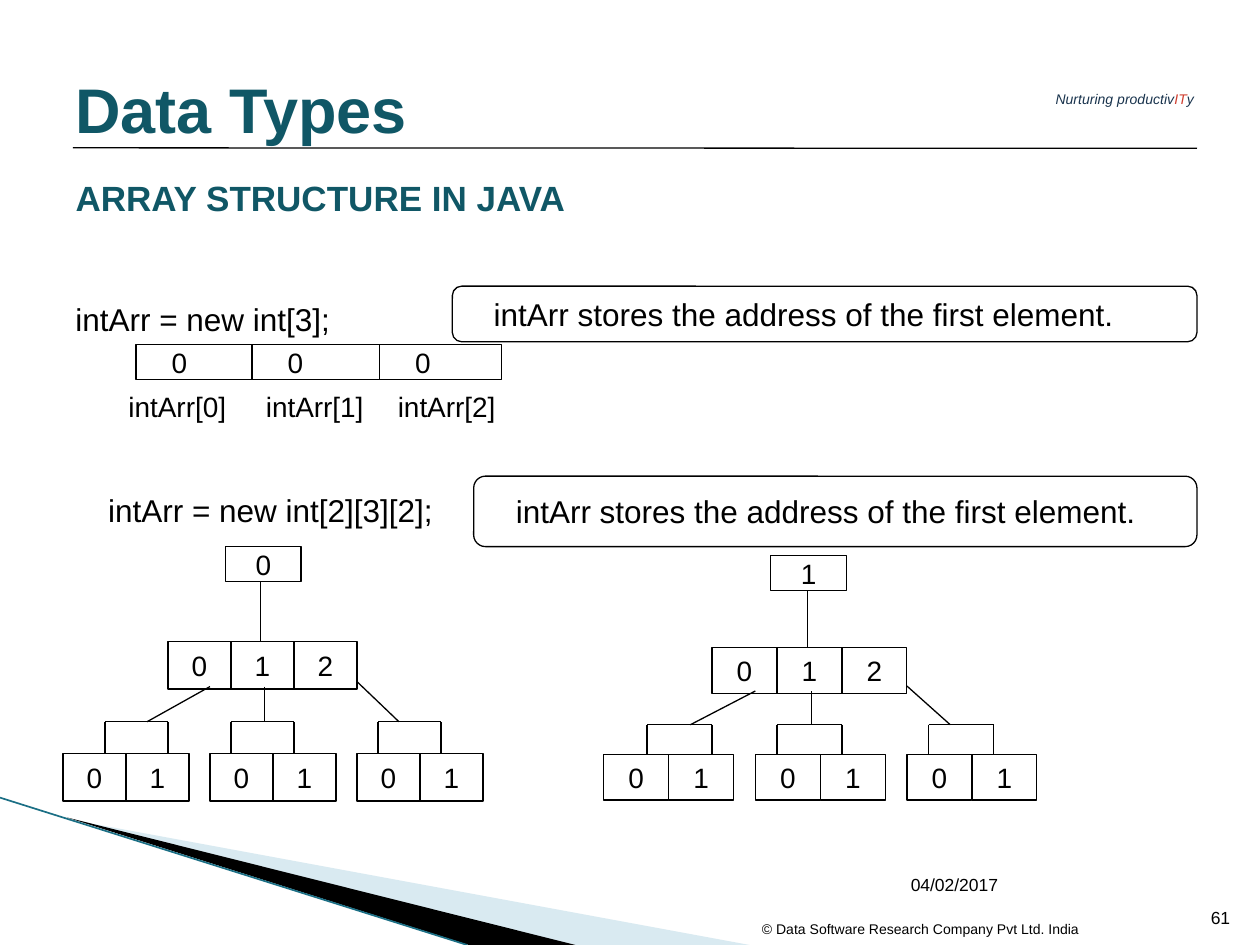
"""Build the slide on array structure in Java."""
from lxml import etree
from pptx import Presentation
from pptx import util as u
from pptx.dml.color import RGBColor
from pptx.enum import shapes, text
from pptx.oxml.ns import qn

BLACK, WHITE, TEAL, NAVY, RED = "000000", "FFFFFF", "105766", "19334D", "D03D2E"
LEFT, CENTER, RIGHT = text.PP_ALIGN.LEFT, text.PP_ALIGN.CENTER, text.PP_ALIGN.RIGHT
TOP, MIDDLE, BOTTOM = text.MSO_ANCHOR.TOP, text.MSO_ANCHOR.MIDDLE, text.MSO_ANCHOR.BOTTOM

TITLE = "ARRAY STRUCTURE IN JAVA"
TITLE_AREA = (1.27, 2.82, 22.86, 2.34)
WEDGES = [
    ("A0CBDC", 40, [(1.4, 16.52), (15.11, 19.05), (11.58, 19.05)]),
    (BLACK, 100, [(1.35, 16.48), (11.6, 19.05), (9.45, 19.05)]),
]
RULES = [
    ("1B6F85", 0.95, (0, 16.08, 9.42, 19.05)),
    (BLACK, 0.75, (1.47, 2.98, 24.13, 2.99)),
]
TEXTS = [
    ("Data Types", (1.27, 1.19, 21.79, 1.98), 36, TEAL, LEFT, MIDDLE, True),
    ("© Data Software Research Company Pvt Ltd. India",
     (15.11, 18.44, 8.76, 0.61), 8, BLACK, LEFT, TOP, False),
    ("04/02/2017", (15.04, 17.14, 5.33, 1.02), 10, BLACK, RIGHT, BOTTOM, False),
    ("61", (24.03, 17.81, 1.02, 1.02), 10, BLACK, RIGHT, BOTTOM, False),
    ("intArr = new int[3];", (1.27, 5.92, 6.5, 0.84), 18, BLACK, LEFT, TOP, False),
    ("intArr = new int[2][3][2];", (1.93, 9.78, 7.62, 1.07), 18, BLACK, LEFT, TOP, False),
]
MOTTO = [("Nurturing productiv", NAVY), ("IT", RED), ("y", NAVY)]
MOTTO_AREA = (21.03, 1.7, 3.38, 0.61)
NOTE = "intArr stores the address of the first element."
NOTE_AREAS = [(9.12, 5.77, 15.01, 1.12), (9.55, 9.6, 14.58, 1.42)]
ARRAY_EDGES = [2.74, 5.08, 7.65, 10.11]
ARRAY_LABELS = [("intArr[0]", 2.34), ("intArr[1]", 5.11), ("intArr[2]", 7.77)]
TREES = [
    dict(label="0", root=(4.55, 11.02), left=1.27, cell=(1.27, 0.96),
         middle=12.93, joint=14.55, leaf=15.19),
    dict(label="1", root=(15.54, 11.2), left=12.17, cell=(1.31, 0.92),
         middle=13.06, joint=14.61, leaf=15.21),
]
ROOT_SIZE = (1.52, 0.71)
STEM, MIDDLE_START = 9.4, 5
PAIRS = [(0, 2), (7, 8), (14, 15)]
BRANCHES = [(7, 4, 0.05), (9.6, 9.6, 0.05), (14, 16, 0.15)]


def colour(value):
    return RGBColor.from_string(value)


def lengths(values):
    return [u.Cm(value) for value in values]


def style(font, size, value, bold=False, italic=False):
    font.name, font.size = "Arial", u.Pt(size)
    font.color.rgb, font.bold, font.italic = colour(value), bold, italic


def write(box, words, size, value=BLACK, align=LEFT, anchor=TOP, bold=False):
    frame = box.text_frame
    frame.text = words
    frame.word_wrap = True
    frame.auto_size = text.MSO_AUTO_SIZE.NONE
    frame.vertical_anchor = anchor
    para = frame.paragraphs[0]
    para.alignment = align
    for span in para.runs:
        style(span.font, size, value, bold)


def add_text(page, words, area, *look):
    box = page.shapes.add_textbox(*lengths(area))
    write(box, words, *look)
    return box


def add_line(page, ends, value=BLACK, width=0.75):
    line = page.shapes.add_connector(shapes.MSO_CONNECTOR.STRAIGHT, *lengths(ends))
    line.line.color.rgb, line.line.width = colour(value), u.Pt(width)
    etree.SubElement(line._element.spPr, qn("a:effectLst"))


def add_box(page, words, area, size=16, align=CENTER, inset=0.25, rounded=False):
    kind = shapes.MSO_SHAPE.ROUNDED_RECTANGLE if rounded else shapes.MSO_SHAPE.RECTANGLE
    box = page.shapes.add_shape(kind, *lengths(area))
    box.shadow.inherit = False
    box.line.color.rgb, box.line.width = colour(BLACK), u.Pt(0.75)
    if rounded:
        box.fill.background()
    else:
        box.fill.solid()
        box.fill.fore_color.rgb = colour(WHITE)
    write(box, words, size, align=align, anchor=MIDDLE)
    box.text_frame.margin_left = u.Cm(inset)


def add_wedge(page, value, opacity, points):
    start, *others = [lengths(point) for point in points]
    builder = page.shapes.build_freeform(*start)
    builder.add_line_segments(others)
    wedge = builder.convert_to_shape()
    wedge.shadow.inherit = False
    wedge.line.fill.background()
    wedge.fill.solid()
    wedge.fill.fore_color.rgb = colour(value)
    if opacity < 100:
        tone = wedge._element.spPr.find(".//" + qn("a:srgbClr"))
        etree.SubElement(tone, qn("a:alpha"), val=str(opacity * 1000))


def add_cells(page, count, left, top, size):
    for index in range(count):
        add_box(page, str(index), (left + index * size[0], top, *size))


def add_tree(page, label, root, left, cell, middle, joint, leaf):
    def across(thirds):
        return left + thirds * cell[0] / 3

    add_box(page, label, (*root, *ROOT_SIZE))
    add_cells(page, 3, across(MIDDLE_START), middle, cell)
    add_line(page, (across(STEM), root[1] + ROOT_SIZE[1], across(STEM), middle))
    for start, end, rise in BRANCHES:
        add_line(page, (across(start), middle + cell[1] - rise, across(end), joint))
    for pair, bracket in PAIRS:
        add_cells(page, 2, across(pair), leaf, cell)
        sides = across(bracket), across(bracket + 3)
        add_line(page, (sides[0], joint, sides[1], joint))
        for side in sides:
            add_line(page, (side, joint, side, leaf))


def main():
    deck = Presentation()
    deck.slide_width, deck.slide_height = lengths((25.4, 19.05))
    page = deck.slides.add_slide(deck.slide_layouts[5])
    title = page.shapes.title
    title.left, title.top, title.width, title.height = lengths(TITLE_AREA)
    write(title, TITLE, 20, TEAL, LEFT, MIDDLE, True)

    for wedge in WEDGES:
        add_wedge(page, *wedge)
    for value, width, ends in RULES:
        add_line(page, ends, value, width)
    for item in TEXTS:
        add_text(page, *item)
    motto = add_text(page, "", MOTTO_AREA, 8)
    for words, value in MOTTO:
        span = motto.text_frame.paragraphs[0].add_run()
        span.text = words
        style(span.font, 8, value, italic=True)

    for start, end in zip(ARRAY_EDGES, ARRAY_EDGES[1:]):
        add_box(page, "0", (start, 6.94, end - start, 0.71), align=LEFT, inset=0.72)
    for words, left in ARRAY_LABELS:
        add_text(page, words, (left, 7.72, 2.69, 0.53), 16)
    for area in NOTE_AREAS:
        add_box(page, NOTE, area, 18, LEFT, 0.78, rounded=True)
    for tree in TREES:
        add_tree(page, **tree)
    deck.save("out.pptx")


if __name__ == "__main__":
    main()
